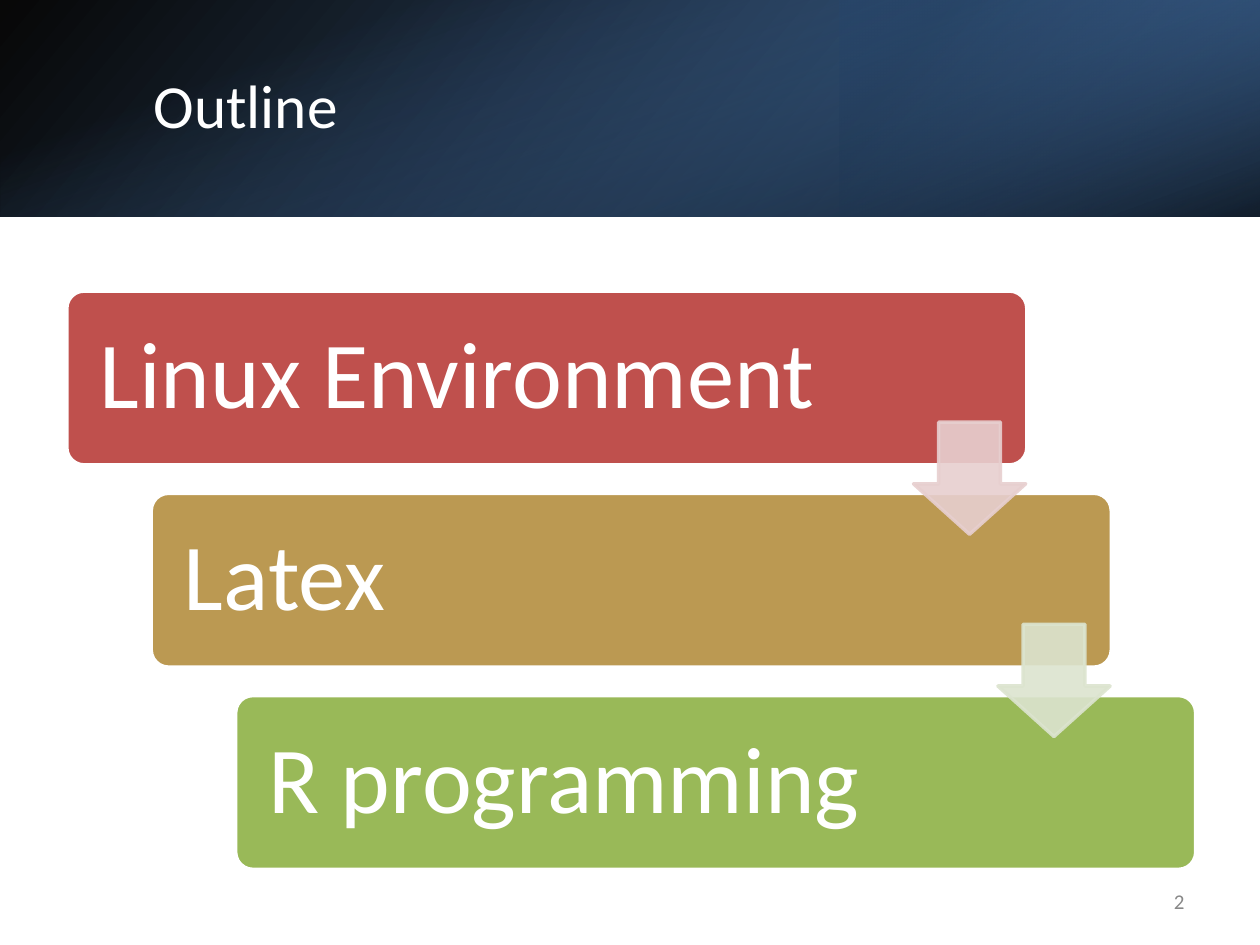
from lxml.etree import SubElement
from pptx import Presentation
from pptx.dml.color import RGBColor
from pptx.enum.shapes import MSO_SHAPE
from pptx.enum.text import MSO_ANCHOR, MSO_AUTO_SIZE, PP_ALIGN
from pptx.oxml.ns import qn
from pptx.util import Inches, Pt

WHITE = RGBColor(0xFF, 0xFF, 0xFF)
BLACK = RGBColor(0x00, 0x00, 0x00)
GREY = RGBColor(0x88, 0x88, 0x88)
NAVY = RGBColor(0x24, 0x40, 0x61)
BLUE = RGBColor(0x36, 0x60, 0x92)
LIGHT_BLUE = RGBColor(0x4F, 0x81, 0xBD)
RED = RGBColor(0xBF, 0x50, 0x4D)
GOLD = RGBColor(0xBB, 0x99, 0x52)
GREEN = RGBColor(0x99, 0xB9, 0x58)
PINK = RGBColor(0xE7, 0xCF, 0xCF)
PALE_GREEN = RGBColor(0xDC, 0xE4, 0xCF)

TOPICS = [
    ("Linux Environment", RED, PINK),
    ("Latex", GOLD, PALE_GREEN),
    ("R programming", GREEN, None),
]


def add_shape(s, kind, x, y, w, h):
    sp = s.shapes.add_shape(kind, Inches(x), Inches(y), Inches(w), Inches(h))
    sp.shadow.inherit = False
    return sp


def set_text(sp, text, size, color, align=PP_ALIGN.LEFT, spacing=None):
    tf = sp.text_frame
    tf.word_wrap = True
    tf.auto_size = MSO_AUTO_SIZE.NONE
    tf.vertical_anchor = MSO_ANCHOR.MIDDLE
    p = tf.paragraphs[0]
    p.text = text
    p.alignment = align
    p.line_spacing = spacing
    p.font.name = "Calibri"
    p.font.size = Pt(size)
    p.font.color.rgb = color
    return tf


def set_alpha(color_element, percent):
    SubElement(color_element, qn("a:alpha"), val=str(percent * 1000))


def set_gradient(sp, stops, angle):
    sp.line.fill.background()
    sp.fill.background()
    sp_pr = sp.element.spPr
    old = sp_pr.find(qn("a:noFill"))
    grad = SubElement(sp_pr, qn("a:gradFill"), rotWithShape="1")
    gs_list = SubElement(grad, qn("a:gsLst"))
    for position, color, alpha in stops:
        gs = SubElement(gs_list, qn("a:gs"), pos=str(position * 1000))
        set_alpha(SubElement(gs, qn("a:srgbClr"), val=str(color)), alpha)
    SubElement(grad, qn("a:lin"), ang=str(angle * 60000), scaled="0")
    sp_pr.replace(old, grad)


def add_header(s, x, y, w, h):
    base = add_shape(s, MSO_SHAPE.RECTANGLE, x, y, w, h)
    set_gradient(base, [(0, BLACK, 96), (100, BLUE, 96)], 140)
    base.element.spPr.xfrm.set("flipH", "1")

    corner = add_shape(s, MSO_SHAPE.RECTANGLE, x + w * 2 / 3, y, w / 3, h)
    set_gradient(corner, [(0, NAVY, 68), (19, NAVY, 68), (100, LIGHT_BLUE, 79)], 320)
    corner.rotation = 180
    corner.element.spPr.xfrm.set("flipH", "1")

    shade = add_shape(s, MSO_SHAPE.RECTANGLE, x + (w - h) / 2, y + (h - w) / 2, h, w)
    set_gradient(shade, [(0, LIGHT_BLUE, 0), (23, LIGHT_BLUE, 0),
                         (99, BLACK, 74), (100, BLACK, 74)], 340)
    shade.rotation = 90

    title = s.shapes.title
    shade.element.addnext(title.element)
    title.left, title.top = Inches(x + 1.12), Inches(y + 0.38)
    title.width, title.height = Inches(8.24), Inches(0.96)
    set_text(title, "Outline", 35, WHITE, spacing=0.9)


def add_topic_box(s, text, color, x, y, w, h):
    box = add_shape(s, MSO_SHAPE.ROUNDED_RECTANGLE, x, y, w, h)
    box.adjustments[0] = 0.1
    box.fill.solid()
    box.fill.fore_color.rgb = color
    box.line.color.rgb = WHITE
    box.line.width = Pt(2)
    tf = set_text(box, text, 54, WHITE, spacing=0.9)
    tf.margin_left = Inches(0.22)
    tf.margin_top = tf.margin_bottom = Inches(0.22)


def add_arrow(s, color, x, y, size):
    arrow = add_shape(s, MSO_SHAPE.DOWN_ARROW, x, y, size, size)
    arrow.adjustments[0] = 0.55
    arrow.adjustments[1] = 0.45
    arrow.fill.solid()
    arrow.fill.fore_color.rgb = color
    arrow.line.color.rgb = color
    arrow.line.width = Pt(2)
    for color_element in arrow.element.spPr.iter(qn("a:srgbClr")):
        set_alpha(color_element, 90)


def add_staircase(s, x, y, w, h):
    box_w, box_h, arrow_size = 7.62, 1.38, 0.89
    step_x = (w - box_w) / (len(TOPICS) - 1)
    step_y = (h - box_h) / (len(TOPICS) - 1)
    places = [(x + i * step_x, y + i * step_y) for i in range(len(TOPICS))]
    for (text, color, _), (left, top) in zip(TOPICS, places):
        add_topic_box(s, text, color, left, top, box_w, box_h)
    for (_, _, color), (left, top) in zip(TOPICS[:-1], places):
        add_arrow(s, color, left + 6.72, top + 1.04, arrow_size)


def add_page_number(s, x, y, w, h):
    box = s.shapes.add_textbox(Inches(x), Inches(y), Inches(w), Inches(h))
    set_text(box, "2", 12, GREY, PP_ALIGN.RIGHT)


def main():
    prs = Presentation()
    prs.slide_width, prs.slide_height = Inches(10), Inches(7.5)
    s = prs.slides.add_slide(prs.slide_layouts[5])
    add_header(s, 0, 0, 10, 1.72)
    add_staircase(s, 0.53, 2.31, 8.96, 4.59)
    add_page_number(s, 7.17, 6.95, 2.33, 0.4)
    prs.save("out.pptx")


if __name__ == "__main__":
    main()
